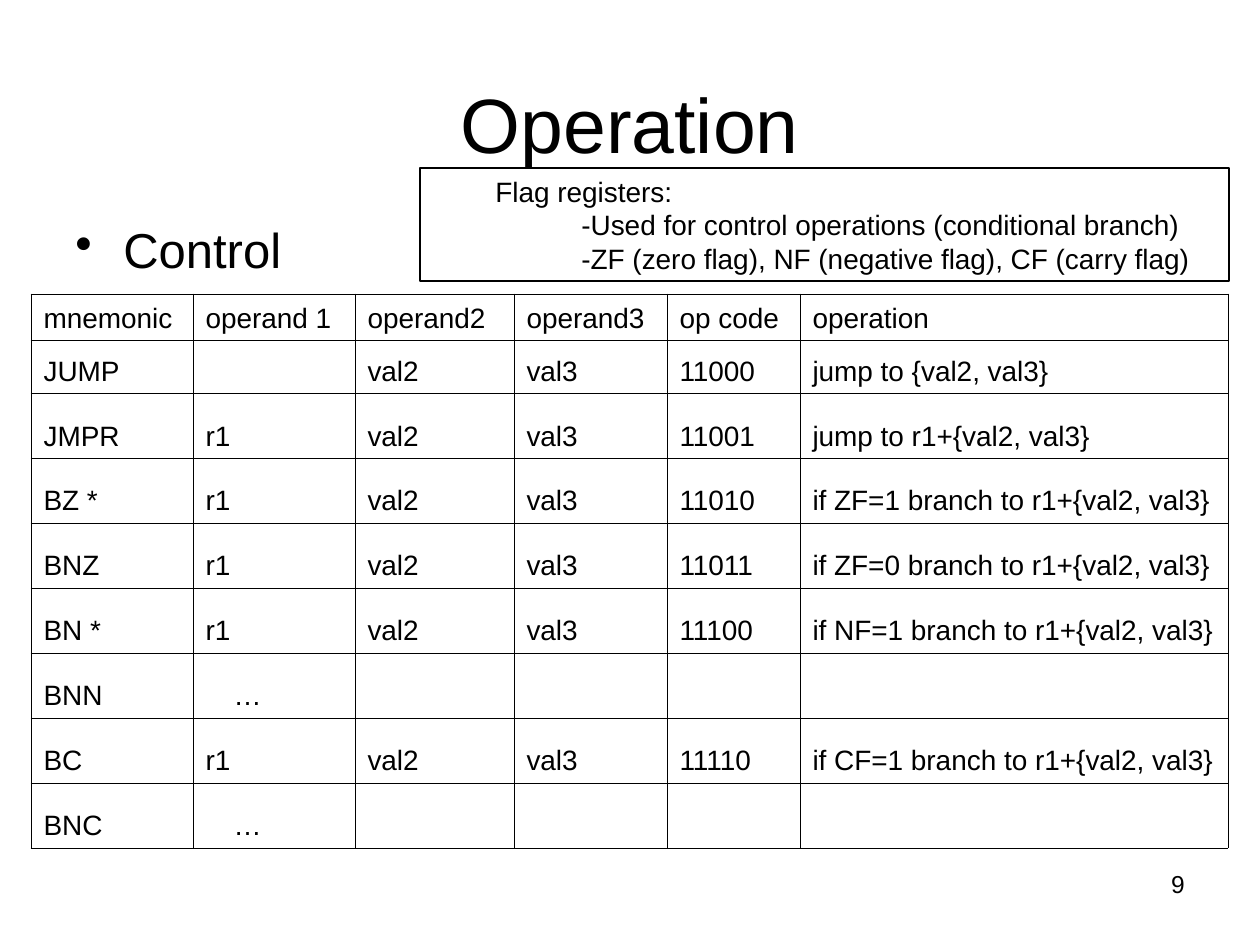
from lxml.etree import SubElement
from pptx import Presentation
from pptx.dml.color import RGBColor
from pptx.enum.shapes import MSO_SHAPE as Shape
from pptx.enum.text import MSO_ANCHOR as Anchor, PP_ALIGN as Align
from pptx.oxml.ns import qn
from pptx.util import Emu, Pt

SLIDE_W, SLIDE_H = 1260, 945
COLORS = {"ink": "000000", "paper": "FFFFFF"}
FONT = "Arial"
COLUMN_WIDTHS = [162, 162, 159, 153, 133, 428]
ROW_HEIGHTS = [46, 53] + [65] * 7
INSTRUCTIONS = [
    ["mnemonic", "operand 1", "operand2", "operand3", "op code", "operation"],
    ["JUMP", "", "val2", "val3", "11000", "jump to {val2, val3}"],
    ["JMPR", "r1", "val2", "val3", "11001", "jump to r1+{val2, val3}"],
    ["BZ *", "r1", "val2", "val3", "11010", "if ZF=1 branch to r1+{val2, val3}"],
    ["BNZ", "r1", "val2", "val3", "11011", "if ZF=0 branch to r1+{val2, val3}"],
    ["BN *", "r1", "val2", "val3", "11100", "if NF=1 branch to r1+{val2, val3}"],
    ["BNN", "…", "", "", "", ""],
    ["BC", "r1", "val2", "val3", "11110", "if CF=1 branch to r1+{val2, val3}"],
    ["BNC", "…", "", "", "", ""],
]
FLAG_NOTES = [
    ("Flag registers:", 63),
    ("-Used for control operations (conditional branch)", 149),
    ("-ZF (zero flag), NF (negative flag), CF (carry flag)", 149),
]


def px(length):
    return Emu(round(length * 914400 / 126))


def color(name):
    return RGBColor.from_string(COLORS[name])


def write(paragraph, text, size, align=Align.LEFT, indent=0, hanging=0):
    """Fill a paragraph; indent and hanging are in px."""
    paragraph.text = text
    paragraph.alignment = align
    paragraph.font.name = FONT
    paragraph.font.size = Pt(size)
    paragraph.font.color.rgb = color("ink")
    properties = paragraph._p.get_or_add_pPr()
    properties.set("marL", str(px(indent)))
    properties.set("indent", str(-px(hanging)))


def add_text(slide, box, text, size, align=Align.LEFT, top_inset=6, anchor=Anchor.TOP, **indents):
    frame = slide.shapes.add_textbox(*map(px, box)).text_frame
    frame.word_wrap = True
    frame.margin_top = px(top_inset)
    frame.vertical_anchor = anchor
    paragraph = frame.paragraphs[0]
    write(paragraph, text, size, align, **indents)
    return paragraph


def add_topic(slide, box, text):
    topic = add_text(slide, box, text, 28, indent=48, hanging=48)
    topic.space_before = Pt(7)
    topic.line_spacing = 0.9
    SubElement(topic._p.pPr, qn("a:buChar"), char="•")


def draw_borders(cell):
    properties = cell._tc.get_or_add_tcPr()
    for side in ("lnL", "lnR", "lnT", "lnB"):
        line = SubElement(properties, qn(f"a:{side}"), w=str(Pt(0.45)))
        fill = SubElement(line, qn("a:solidFill"))
        SubElement(fill, qn("a:srgbClr"), val=COLORS["ink"])


def add_instruction_table(slide, left, top):
    size = sum(COLUMN_WIDTHS), sum(ROW_HEIGHTS)
    table = slide.shapes.add_table(
        len(ROW_HEIGHTS), len(COLUMN_WIDTHS), *map(px, (left, top, *size))).table
    table.first_row = table.horz_banding = False
    for column, width in zip(table.columns, COLUMN_WIDTHS):
        column.width = px(width)
    for row, height, texts in zip(table.rows, ROW_HEIGHTS, INSTRUCTIONS):
        row.height = px(height)
        for cell, text in zip(row.cells, texts):
            write(cell.text_frame.paragraphs[0], text, 16, indent=28 if text == "…" else 0)
            cell.vertical_anchor = Anchor.BOTTOM
            draw_borders(cell)
            cell.fill.background()


def add_flag_box(slide, box):
    flag_box = slide.shapes.add_shape(Shape.RECTANGLE, *map(px, box))
    flag_box.shadow.inherit = False
    flag_box.fill.background()
    flag_box.line.color.rgb = color("ink")
    flag_box.line.width = Pt(0.75)
    frame = flag_box.text_frame
    frame.word_wrap = True
    frame.vertical_anchor = Anchor.TOP
    for number, (note, indent) in enumerate(FLAG_NOTES):
        paragraph = frame.add_paragraph() if number else frame.paragraphs[0]
        write(paragraph, note, 16, indent=indent)
        paragraph.line_spacing = Pt(19.2)


def add_operation_slide(deck):
    slide = deck.slides.add_slide(deck.slide_layouts[6])
    slide.background.fill.solid()
    slide.background.fill.fore_color.rgb = color("paper")
    add_text(slide, (903, 861, 294, 66), "9", 14, Align.RIGHT, top_inset=8)
    add_text(slide, (63, 38, 1134, 158), "Operation", 44, Align.CENTER,
             top_inset=18, anchor=Anchor.MIDDLE)
    add_topic(slide, (63, 220, 1081, 624), "Control")
    add_instruction_table(slide, 31, 294)
    add_flag_box(slide, (420, 168, 809, 113))


def main():
    deck = Presentation()
    deck.slide_width, deck.slide_height = px(SLIDE_W), px(SLIDE_H)
    add_operation_slide(deck)
    deck.save("out.pptx")


if __name__ == "__main__":
    main()
